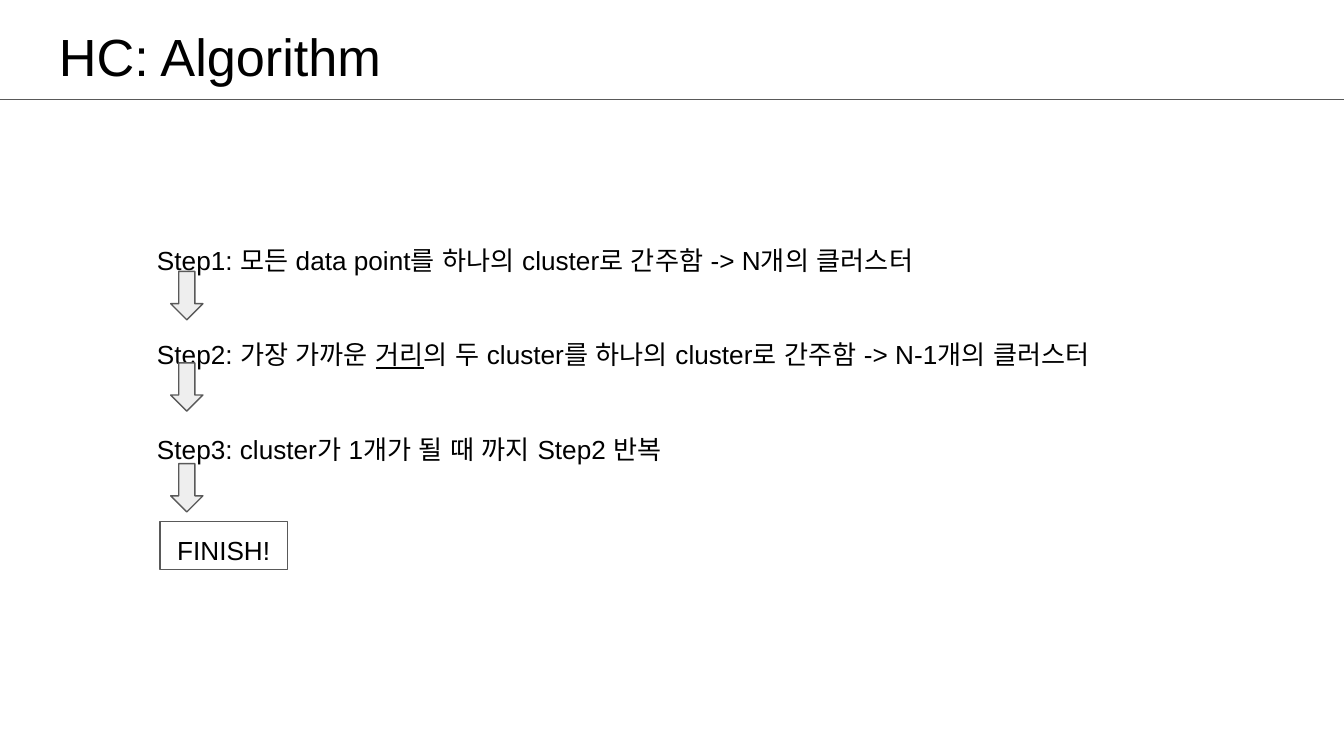
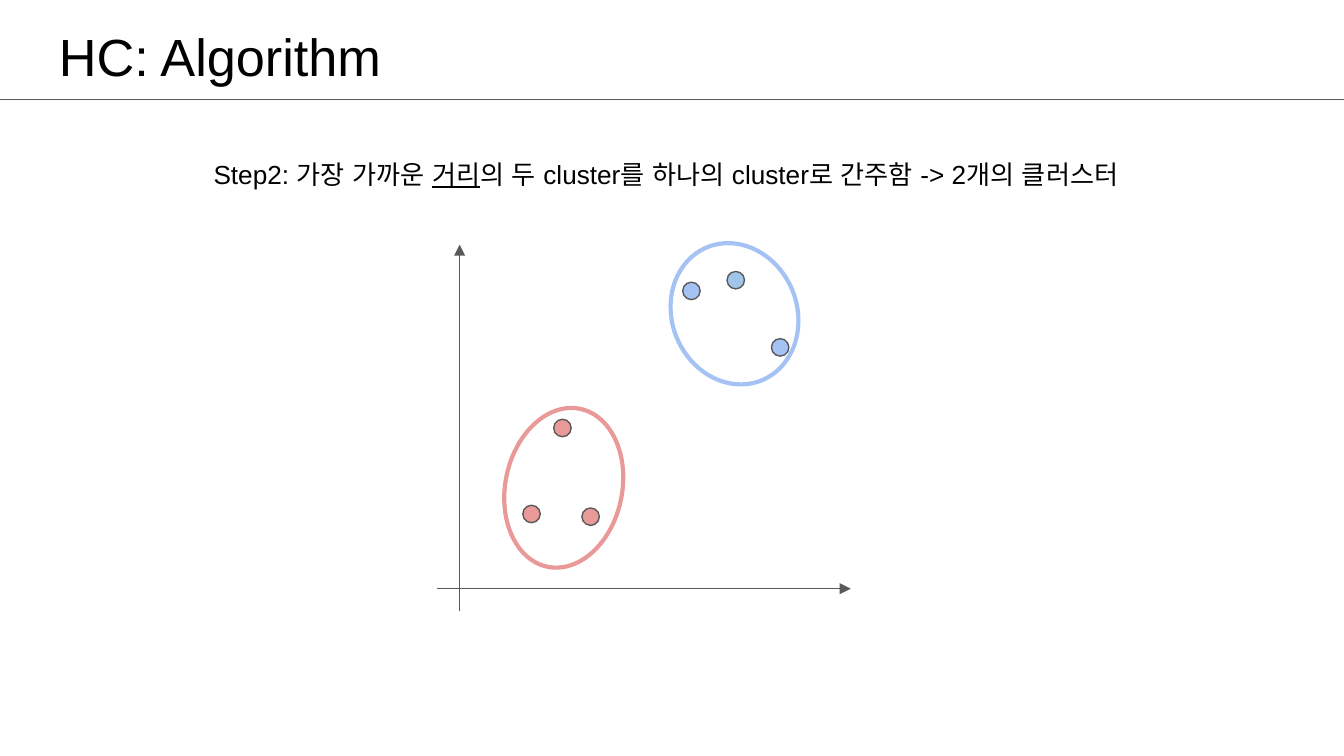
from pptx import Presentation
from pptx.dml.color import RGBColor
from pptx.enum.shapes import MSO_CONNECTOR, MSO_SHAPE
from pptx.enum.text import MSO_ANCHOR, PP_ALIGN
from pptx.oxml.ns import qn
from pptx.util import Inches, Pt
from lxml import etree

STRAIGHT = MSO_CONNECTOR.STRAIGHT
DOWN_ARROW, RECTANGLE, OVAL = MSO_SHAPE.DOWN_ARROW, MSO_SHAPE.RECTANGLE, MSO_SHAPE.OVAL
TOP, LEFT, CENTER = MSO_ANCHOR.TOP, PP_ALIGN.LEFT, PP_ALIGN.CENTER

BLACK = RGBColor(0x00, 0x00, 0x00)
GRAY = RGBColor(0x59, 0x59, 0x59)
LIGHT_GRAY = RGBColor(0xEE, 0xEE, 0xEE)
RED = RGBColor(0xEA, 0x99, 0x99)
BLUE = RGBColor(0xA4, 0xC2, 0xF4)
SKY = RGBColor(0x9F, 0xC5, 0xE8)

FONT = "Arial"
WIDTH = 10
HEIGHT = WIDTH * 9 / 16
INSET = 0.1
THIN, THICK = 0.75, 2.25

TITLE = "HC: Algorithm"
TITLE_BOX = (0.34, 0.08, 9.32, 0.63)
RULE_Y = 0.74

# A paragraph is a list of (text, underlined) runs.
STEP_1 = [("Step1: 모든 data point를 하나의 cluster로 간주함 -> N개의 클러스터", False)]
STEP_3 = [("Step3: cluster가 1개가 될 때 까지 Step2 반복", False)]
FINISH = [("FINISH!", False)]


def step_2(count):
    return [("Step2: 가장 가까운 ", False), ("거리", True),
            (f"의 두 cluster를 하나의 cluster로 간주함 -> {count}개의 클러스터", False)]


STEPS_BOX = (1.07, 1.6, 8.26, 2.16)
STEP_GAP = 25.5
ARROW_LEFT, ARROW_SIZE = 1.27, (0.24, 0.36)
ARROW_TOPS = (2.02, 2.7, 3.45)
FINISH_BOX = (1.19, 3.88, 0.95, 0.36)

STEP_2_BOX = (1.49, 0.96, 7.22, 0.48)
AXES = [((3.25, 4.38), (6.33, 4.38)), ((3.42, 4.55), (3.42, 1.82))]
DOT = 0.13
DOTS = [
    (3.89, 3.76, RED), (4.33, 3.78, RED), (4.12, 3.12, RED),
    (5.74, 2.52, BLUE), (5.08, 2.1, BLUE), (5.41, 2.02, SKY),
]
CLUSTERS = [
    ((4.93, 1.87, 1.07, 0.93), 67.6, BLUE),
    ((3.76, 3.03, 0.87, 1.2), 11.6, RED),
]


def inches(values):
    return [Inches(value) for value in values]


def write(shape, paragraphs, size=14, align=LEFT, spacing=None, gap=0):
    """Fill a shape with paragraphs; gap is the space in points between them."""
    frame = shape.text_frame
    frame.word_wrap = True
    frame.vertical_anchor = TOP
    frame.margin_left = frame.margin_right = Inches(INSET)
    frame.margin_top = frame.margin_bottom = Inches(INSET)
    for index, runs in enumerate(paragraphs):
        paragraph = frame.add_paragraph() if index else frame.paragraphs[0]
        paragraph.alignment = align
        if spacing:
            paragraph.line_spacing = spacing
        if index and gap:
            paragraph.space_before = Pt(gap)
        for text, underlined in runs:
            run = paragraph.add_run()
            run.text = text
            run.font.name = FONT
            run.font.size = Pt(size)
            run.font.color.rgb = BLACK
            if underlined:
                run.font.underline = True
            properties = run._r.get_or_add_rPr()
            properties.set("lang", "ko")
            for script in ("a:ea", "a:cs"):
                etree.SubElement(properties, qn(script), typeface=FONT)


def add_text(slide, box, paragraphs, **text_format):
    write(slide.shapes.add_textbox(*inches(box)), paragraphs, **text_format)


def add_shape(slide, kind, box, fill=None, line=GRAY, weight=THIN, rotation=0):
    shape = slide.shapes.add_shape(kind, *inches(box))
    shape.shadow.inherit = False
    if fill is None:
        shape.fill.background()
    else:
        shape.fill.solid()
        shape.fill.fore_color.rgb = fill
    shape.line.color.rgb = line
    shape.line.width = Pt(weight)
    shape.rotation = rotation
    return shape


def add_line(slide, start, end, arrow=False):
    connector = slide.shapes.add_connector(STRAIGHT, *inches(start + end))
    connector.line.color.rgb = GRAY
    connector.line.width = Pt(THIN)
    if arrow:
        outline = connector.line._get_or_add_ln()
        etree.SubElement(outline, qn("a:tailEnd"), type="triangle")
    etree.SubElement(connector._element.spPr, qn("a:effectLst"))


def add_titled_slide(presentation):
    slide = presentation.slides.add_slide(presentation.slide_layouts[6])
    add_text(slide, TITLE_BOX, [[(TITLE, False)]], size=28)
    add_line(slide, (0, RULE_Y), (WIDTH, RULE_Y))
    return slide


def build_steps(presentation):
    slide = add_titled_slide(presentation)
    add_text(slide, STEPS_BOX, [STEP_1, step_2("N-1"), STEP_3], spacing=1.5, gap=STEP_GAP)
    for top in ARROW_TOPS:
        add_shape(slide, DOWN_ARROW, (ARROW_LEFT, top, *ARROW_SIZE), fill=LIGHT_GRAY)
    write(add_shape(slide, RECTANGLE, FINISH_BOX), [FINISH], align=CENTER)


def build_clusters(presentation):
    slide = add_titled_slide(presentation)
    for start, end in AXES:
        add_line(slide, start, end, arrow=True)
    for left, top, color in DOTS:
        add_shape(slide, OVAL, (left, top, DOT, DOT), fill=color)
    add_text(slide, STEP_2_BOX, [step_2("2")], spacing=1.5)
    for box, rotation, color in CLUSTERS:
        add_shape(slide, OVAL, box, line=color, weight=THICK, rotation=rotation)


def main():
    presentation = Presentation()
    presentation.slide_width, presentation.slide_height = inches((WIDTH, HEIGHT))
    build_steps(presentation)
    build_clusters(presentation)
    presentation.save("out.pptx")


if __name__ == "__main__":
    main()
